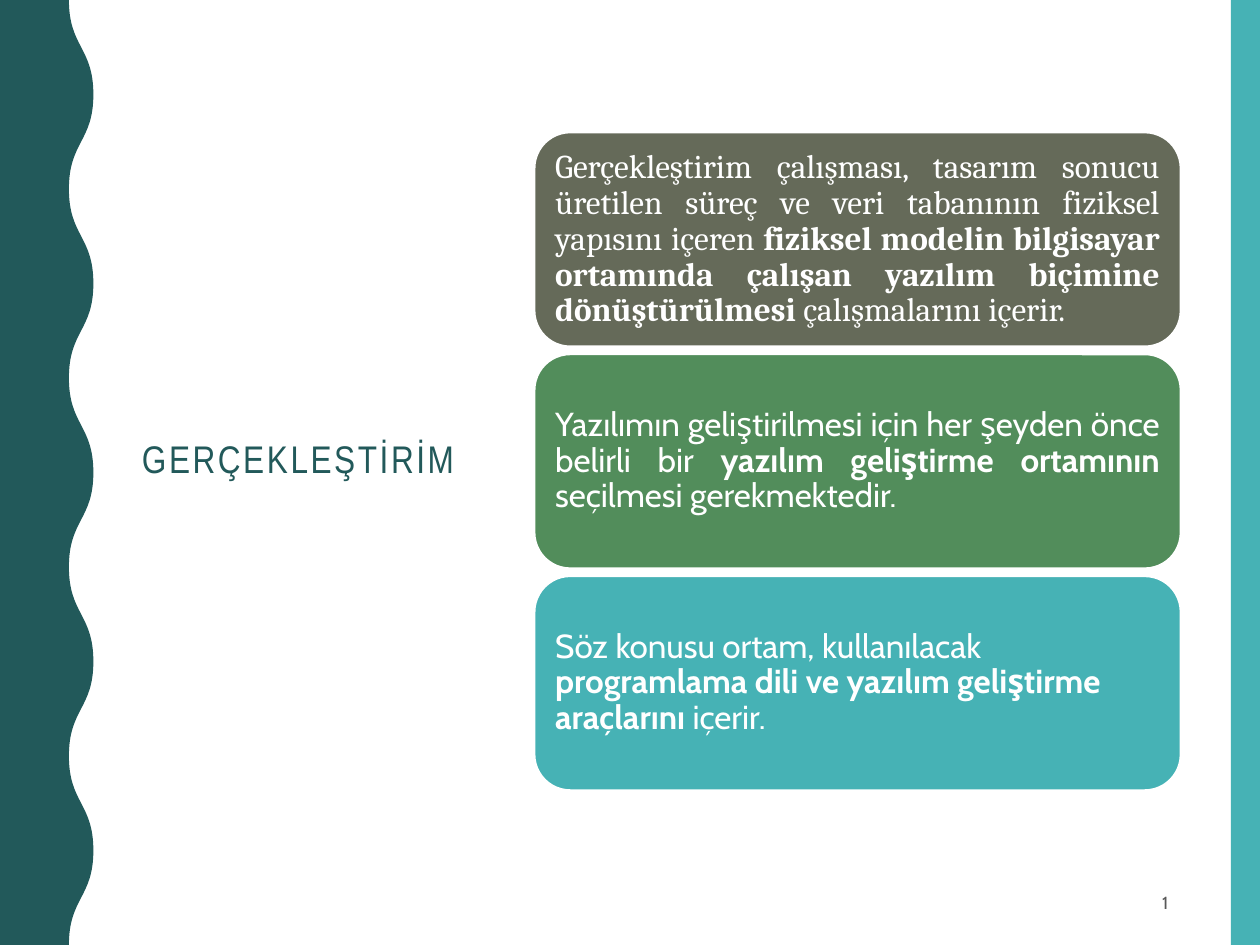
from lxml import etree
from pptx import Presentation
from pptx.dml.color import RGBColor
from pptx.enum import shapes, text
from pptx.oxml import ns
from pptx.util import Pt

DARK_TEAL = RGBColor(0x22, 0x59, 0x5A)
TEAL = RGBColor(0x46, 0xB2, 0xB5)
GREEN = RGBColor(0x52, 0x8D, 0x5B)
OLIVE = RGBColor(0x65, 0x6A, 0x59)
GREY = RGBColor(0x59, 0x59, 0x59)
WHITE = RGBColor(0xFF, 0xFF, 0xFF)

TITLE = "GERÇEKLEŞTİRİM"
JUSTIFY, LEFT = text.PP_ALIGN.JUSTIFY, text.PP_ALIGN.LEFT
# Fill, font, alignment, and plain / bold / plain wording of each card
CARDS = [
    (OLIVE, "Cambria", JUSTIFY, (
        "Gerçekleştirim çalışması, tasarım sonucu üretilen süreç ve veri tabanının "
        "fiziksel yapısını içeren",
        " fiziksel modelin bilgisayar ortamında çalışan yazılım biçimine dönüştürülmesi",
        " çalışmalarını içerir. ")),
    (GREEN, "Cabin", JUSTIFY, (
        "Yazılımın geliştirilmesi için her şeyden önce belirli bir ",
        "yazılım geliştirme ortamının ",
        "seçilmesi gerekmektedir. ")),
    (TEAL, "Cabin", LEFT, (
        "Söz konusu ortam, kullanılacak ",
        "programlama dili ve yazılım geliştirme araçlarını ",
        "içerir.")),
]

WIDTH, HEIGHT = 720, 540
STRIPE_WIDTH = 16.7
WAVE_INNER, WAVE_OUTER, WAVE_COUNT = 39.4, 53.4, 5
CARD_LEFT, CARD_TOP, CARD_WIDTH, CARD_HEIGHT = 305.5, 75.7, 369.1, 122.2
CARD_PITCH, CARD_INSET = 126.8, 5.8


def place(shape, left, top, width, height):
    shape.left, shape.top, shape.width, shape.height = map(
        Pt, (left, top, width, height))


def paint(shape, color, line=None):
    shape.shadow.inherit = False
    shape.fill.solid()
    shape.fill.fore_color.rgb = color
    if line is None:
        shape.line.fill.background()
    else:
        shape.line.color.rgb = line
        shape.line.width = Pt(1)


def set_font(font, name, size, color):
    font.name, font.size = name, Pt(size)
    font.color.rgb = color


def curve_segment(segment, start, end):
    """Turn a straight segment into an S-curve, upright at both ends."""
    middle = (start[1] + end[1]) // 2
    curve = etree.Element(ns.qn("a:cubicBezTo"))
    for x, y in ((start[0], middle), (end[0], middle), end):
        etree.SubElement(curve, ns.qn("a:pt"), x=str(x), y=str(y))
    segment.getparent().replace(segment, curve)


def add_wave(slide):
    half = HEIGHT / WAVE_COUNT / 2
    edge = [(Pt(WAVE_OUTER if index % 2 else WAVE_INNER), Pt(index * half))
            for index in range(2 * WAVE_COUNT + 1)]
    builder = slide.shapes.build_freeform(*edge[0])
    builder.add_line_segments([*edge[1:], (0, Pt(HEIGHT)), (0, 0)])
    wave = builder.convert_to_shape()
    segments = list(wave._element.iter(ns.qn("a:lnTo")))
    for segment, start, end in zip(segments, edge, edge[1:]):
        curve_segment(segment, start, end)
    paint(wave, DARK_TEAL)


def add_stripe(slide):
    stripe = slide.shapes.add_shape(
        shapes.MSO_SHAPE.RECTANGLE, Pt(WIDTH - STRIPE_WIDTH), 0,
        Pt(STRIPE_WIDTH), Pt(HEIGHT))
    paint(stripe, TEAL)


def add_title(slide):
    title = slide.shapes.title
    place(title, 73.9, 50.4, 200, 426.2)
    frame = title.text_frame
    frame.text = TITLE
    frame.word_wrap = True
    frame.auto_size = text.MSO_AUTO_SIZE.NONE
    frame.vertical_anchor = text.MSO_ANCHOR.MIDDLE
    paragraph = frame.paragraphs[0]
    paragraph.alignment, paragraph.line_spacing = LEFT, 0.9
    set_font(paragraph.font, "Arial Narrow", 22, DARK_TEAL)
    paragraph.runs[0]._r.get_or_add_rPr().set("spc", "150")


def add_slide_number(slide):
    box = slide.shapes.add_textbox(Pt(508.3), Pt(501.8), Pt(166.3), Pt(27.4))
    frame = box.text_frame
    frame.word_wrap = True
    frame.vertical_anchor = text.MSO_ANCHOR.MIDDLE
    paragraph = frame.paragraphs[0]
    paragraph.alignment, paragraph.space_after = text.PP_ALIGN.RIGHT, Pt(6)
    run = paragraph.add_run()
    run.text = "1"
    set_font(run.font, "Cabin", 10, GREY)
    # A run becomes a slide number field by its tag, id and type
    field = etree.SubElement(
        paragraph._p, ns.qn("a:fld"), type="slidenum",
        id="{B6F15528-21DE-4FAA-801E-634DDDAF4B2B}")
    field.extend(list(run._r))
    paragraph._p.remove(run._r)


def add_card(slide, index, color, font_name, alignment, wording):
    card = slide.shapes.add_shape(
        shapes.MSO_SHAPE.ROUNDED_RECTANGLE, Pt(CARD_LEFT),
        Pt(CARD_TOP + index * CARD_PITCH), Pt(CARD_WIDTH), Pt(CARD_HEIGHT))
    paint(card, color, WHITE)
    frame = card.text_frame
    frame.word_wrap = True
    frame.vertical_anchor = text.MSO_ANCHOR.MIDDLE
    frame.margin_left = frame.margin_right = Pt(CARD_INSET)
    frame.margin_top = frame.margin_bottom = Pt(CARD_INSET)
    paragraph = frame.paragraphs[0]
    paragraph.alignment, paragraph.line_spacing = alignment, 0.9
    set_font(paragraph.font, font_name, 19, WHITE)
    for position, words in enumerate(wording):
        run = paragraph.add_run()
        run.text = words
        run.font.bold = position == 1


def main():
    presentation = Presentation()
    presentation.slide_width, presentation.slide_height = Pt(WIDTH), Pt(HEIGHT)
    slide = presentation.slides.add_slide(presentation.slide_layouts[5])
    add_stripe(slide)
    add_wave(slide)
    add_title(slide)
    add_slide_number(slide)
    for index, card in enumerate(CARDS):
        add_card(slide, index, *card)
    presentation.save("out.pptx")


if __name__ == "__main__":
    main()
